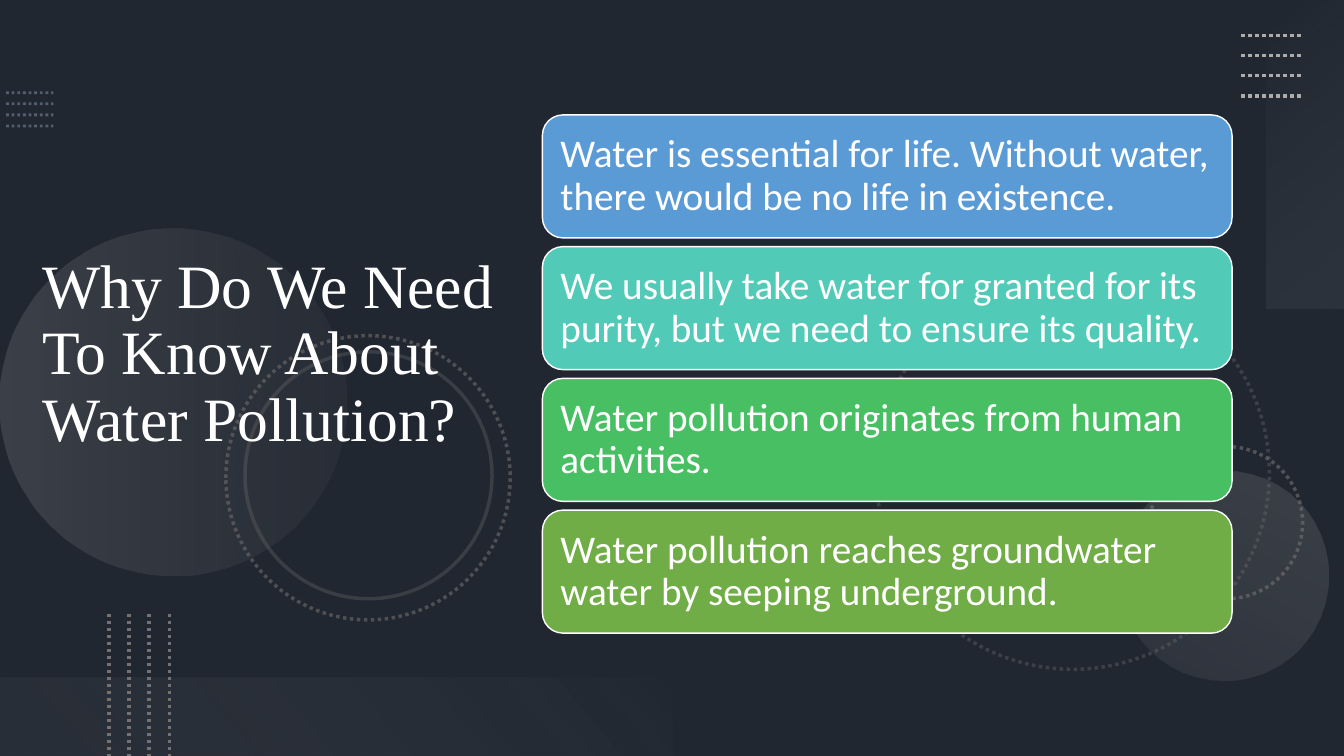
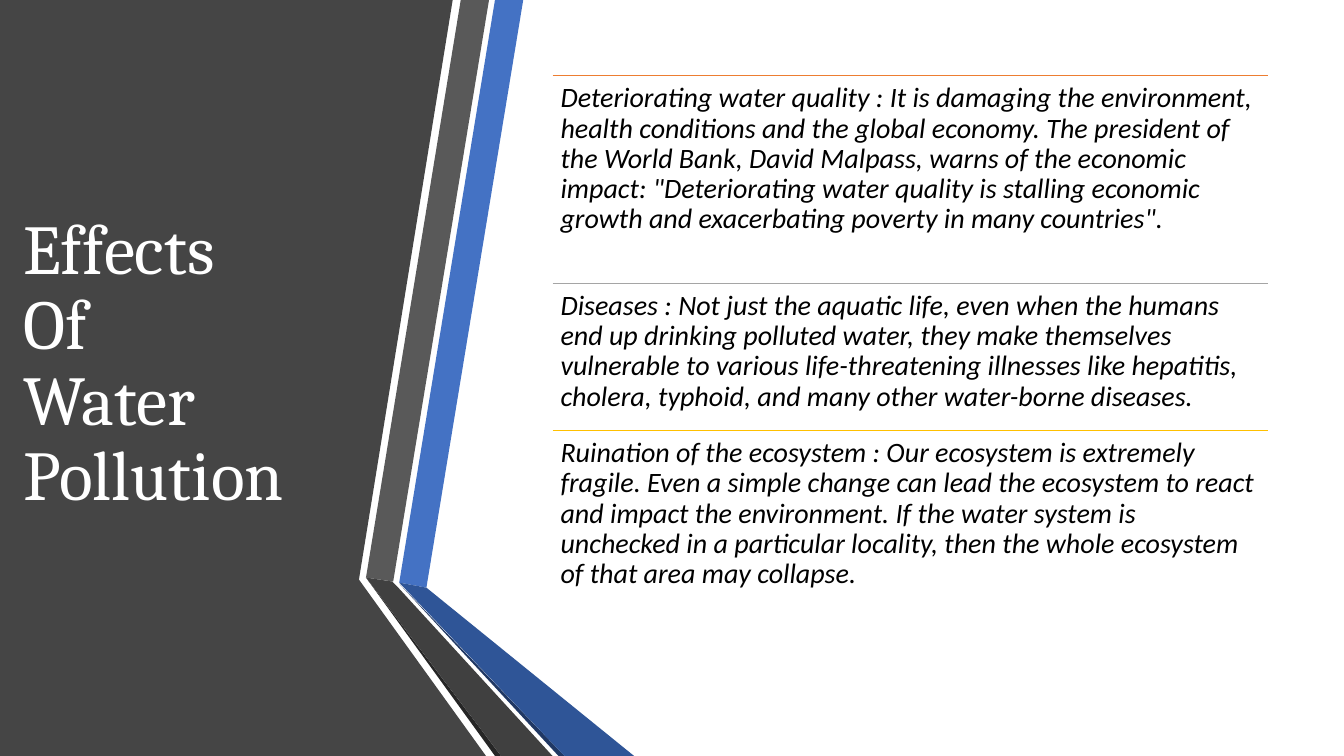
from dataclasses import dataclass

from lxml import etree
from pptx import Presentation
from pptx import util as u
from pptx.dml.color import RGBColor
from pptx.enum import dml, shapes, text
from pptx.oxml import ns


@dataclass(frozen=True)
class Theme:
    navy: str = "44546A"
    black: str = "000000"
    white: str = "FFFFFF"
    steel: str = "8497B0"
    ash: str = "767171"
    silver: str = "AFABAB"
    pale: str = "F5F5F5"
    panel: str = "454545"
    body: str = "Calibri"
    card_size: int = 28
    note_size: int = 20


T = Theme()

WHY = {
    "title": ["Why Do We Need To Know About Water Pollution?"],
    "font": ("Times New Roman", 44),
    "box": (0.32, 1.04, 4.71, 4.96),
    "cards": [
        ("5B9BD5", "Water is essential for life. Without water, there would be no life in existence."),
        ("52CAB8", "We usually take water for granted for its purity, but we need to ensure its quality."),
        ("49BF64", "Water pollution originates from human activities."),
        ("70AD47", "Water pollution reaches groundwater water by seeping underground."),
    ],
}

EFFECTS = {
    "title": ["Effects", "Of", "Water Pollution"],
    "font": ("Cambria", 50),
    "box": (0.13, 0.83, 3.4, 5.58),
    "notes": [  # rule colour, height, words
        ("ED7D31", 2.06, "Deteriorating water quality : It is damaging the environment, health conditions "
         "and the global economy. The president of the World Bank, David Malpass, warns of the economic "
         "impact: \"Deteriorating water quality is stalling economic growth and exacerbating poverty in "
         "many countries\"."),
        ("A5A5A5", 1.46, "Diseases : Not just the aquatic life, even when the humans end up drinking polluted "
         "water, they make themselves vulnerable to various life-threatening illnesses like hepatitis, "
         "cholera, typhoid, and many other water-borne diseases."),
        ("FFC000", 2.06, "Ruination of the ecosystem : Our ecosystem is extremely fragile. Even a simple change "
         "can lead the ecosystem to react and impact the environment. If the water system is unchecked in "
         "a particular locality, then the whole ecosystem of that area may collapse."),
    ],
}

# Dot rows: first line's start and end, step to the next line, colour, width, opacity
DOTS = [
    ((0.06, 0.92), (0.53, 0.92), (0, 0.11), T.steel, 2, 50),
    ((12.31, 0.35), (12.91, 0.35), (0, 0.2), T.silver, 2.5, 100),
    ((1.08, 6.09), (1.08, 7.5), (0.2, 0), T.ash, 2.5, 100),
]
# Rings: left, top, diameter, dotted, opacity
RINGS = [
    (8.69, 2.74, 3.9, True, 35),
    (11.41, 4.43, 1.51, True, 60),
    (2.24, 3.33, 2.82, True, 55),
    (2.43, 3.49, 2.45, False, 30),
]
# Glows: preset, box, rotation, angle, stops of (position, colour, opacity)
OVAL, RECT = shapes.MSO_SHAPE.OVAL, shapes.MSO_SHAPE.RECTANGLE
GLOWS = [
    (OVAL, (0, 2.27, 3.44, 3.44), 270, 90, [(0, T.silver, 20), (1, T.ash, 10)]),
    (OVAL, (11.1, 4.67, 2.08, 2.08), 210, 90, [(0, T.silver, 10), (1, T.silver, 20)]),
    (RECT, (11.42, 1.14, 3.06, 0.78), 270, 140, [(0, T.pale, 0), (1, T.silver, 10)]),
    (RECT, (0, 6.72, 6.67, 0.78), 180, 140, [(0.1, T.ash, 10), (1, T.pale, 0)]),
]
# Folded ribbons: colour, corner points
FOLDS = [
    (T.panel, [(0, 0), (4.49, 0), (3.56, 5.75), (4.82, 7.5), (0, 7.5)]),
    ("4472C4", [(3.96, 5.78), (4.23, 5.83), (5.19, 0), (4.91, 0)]),
    ("595959", [(4.85, 0), (4.57, 0), (3.63, 5.73), (3.9, 5.77)]),
    ("262626", [(3.63, 5.73), (4.91, 7.5), (4.97, 7.5)]),
    ("203864", [(3.96, 5.79), (5.54, 7.5), (5.6, 7.5)]),
    ("2F5597", [(3.96, 5.78), (5.6, 7.5), (6.29, 7.5), (4.23, 5.83)]),
    ("404040", [(5.48, 7.5), (3.95, 5.83), (3.89, 5.77), (3.63, 5.73), (4.97, 7.5)]),
]


def rgb(code):
    return RGBColor.from_string(code)


def inch(nums):
    return [u.Inches(n) for n in nums]


def fade(shape, *alphas):
    """Give the shape's colours, in order, these opacities in percent."""
    codes = shape._element.spPr.iter(ns.qn("a:srgbClr"))
    for code, alpha in zip(list(codes), alphas):
        if alpha < 100:
            etree.SubElement(code, ns.qn("a:alpha")).set("val", str(alpha * 1000))


def paint(shape, fill=None, line=None, width=1):
    shape.shadow.inherit = False
    if fill:
        shape.fill.solid()
        shape.fill.fore_color.rgb = rgb(fill)
    else:
        shape.fill.background()
    if line:
        shape.line.color.rgb = rgb(line)
        shape.line.width = u.Pt(width)
    else:
        shape.line.fill.background()


def rule(slide, start, end, color, width):
    line = slide.shapes.add_connector(shapes.MSO_CONNECTOR.STRAIGHT, *inch(start + end))
    line.line.color.rgb = rgb(color)
    line.line.width = u.Pt(width)
    etree.SubElement(line._element.spPr, ns.qn("a:effectLst"))
    return line


def write(shape, lines, font, size, color, inset, anchor, italic=None):
    """Set left-aligned text, with a line break between lines."""
    frame = shape.text_frame
    frame.word_wrap = True
    frame.auto_size = text.MSO_AUTO_SIZE.NONE
    frame.vertical_anchor = anchor
    frame.margin_left = frame.margin_right = u.Inches(inset)
    frame.margin_top = frame.margin_bottom = u.Inches(min(inset, 0.12))
    para = frame.paragraphs[0]
    para.alignment = text.PP_ALIGN.LEFT
    para.line_spacing = 0.9
    for num, words in enumerate(lines):
        if num:
            para.add_line_break()
        run = para.add_run()
        run.text = words
        run.font.name, run.font.size = font, u.Pt(size)
        run.font.color.rgb = rgb(color)
        run.font.italic = italic


def start(deck, color):
    slide = deck.slides.add_slide(deck.slide_layouts[5])
    slide.background.fill.solid()
    slide.background.fill.fore_color.rgb = rgb(color)
    return slide


def head(slide, data):
    """Place the title in front of the art drawn so far."""
    title = slide.shapes.title
    slide.shapes._spTree.append(title._element)
    title.left, title.top, title.width, title.height = inch(data["box"])
    write(title, data["title"], *data["font"], T.white, 0.1, text.MSO_ANCHOR.MIDDLE)


def glow(slide, kind, box, turn, angle, stops):
    shape = slide.shapes.add_shape(kind, *inch(box))
    paint(shape)
    shape.rotation = turn
    shape.fill.gradient()
    shape.fill.gradient_angle = 360 - angle
    for stop, (place, color, _) in zip(shape.fill.gradient_stops, stops):
        stop.position = place
        stop.color.rgb = rgb(color)
    fade(shape, *(alpha for _, _, alpha in stops))


def night(slide):
    """Draw the dark backdrop with dots, rings and glows."""
    veil = slide.shapes.add_shape(RECT, *inch((0, 0, 13.33, 7.5)))
    paint(veil, T.black)
    fade(veil, 53)
    for item in GLOWS:
        glow(slide, *item)
    for left, top, size, dotted, alpha in RINGS:
        ring = slide.shapes.add_shape(OVAL, *inch((left, top, size, size)))
        paint(ring, line=T.ash, width=2.5)
        if dotted:
            ring.line.dash_style = dml.MSO_LINE.ROUND_DOT
        fade(ring, alpha)
    for (x1, y1), (x2, y2), (dx, dy), color, width, alpha in DOTS:
        for n in range(4):
            row = rule(slide, (x1 + n * dx, y1 + n * dy), (x2 + n * dx, y2 + n * dy), color, width)
            row.line.dash_style = dml.MSO_LINE.ROUND_DOT
            fade(row, alpha)


def why(deck):
    slide = start(deck, T.navy)
    night(slide)
    head(slide, WHY)
    for num, (color, words) in enumerate(WHY["cards"]):
        box = (5.38, 1.14 + num * 1.307, 6.84, 1.22)
        card = slide.shapes.add_shape(shapes.MSO_SHAPE.ROUNDED_RECTANGLE, *inch(box))
        paint(card, color, T.white)
        write(card, [words], T.body, T.card_size, T.white, 0.12, text.MSO_ANCHOR.MIDDLE)


def effects(deck):
    slide = start(deck, T.white)
    for color, points in FOLDS:
        first, *rest = [inch(point) for point in points]
        pen = slide.shapes.build_freeform(*first)
        pen.add_line_segments(rest, close=True)
        paint(pen.convert_to_shape(), color)
    head(slide, EFFECTS)
    left, top, width = 5.48, 0.75, 7.1
    for color, height, words in EFFECTS["notes"]:
        rule(slide, (left, top), (left + width, top), color, 1)
        note = slide.shapes.add_textbox(*inch((left, top, width, height)))
        write(note, [words], T.body, T.note_size, T.black, 0.08, text.MSO_ANCHOR.TOP, True)
        top += height


def main():
    deck = Presentation()
    deck.slide_width, deck.slide_height = inch((13.33, 7.5))
    why(deck)
    effects(deck)
    deck.save("out.pptx")


if __name__ == "__main__":
    main()
